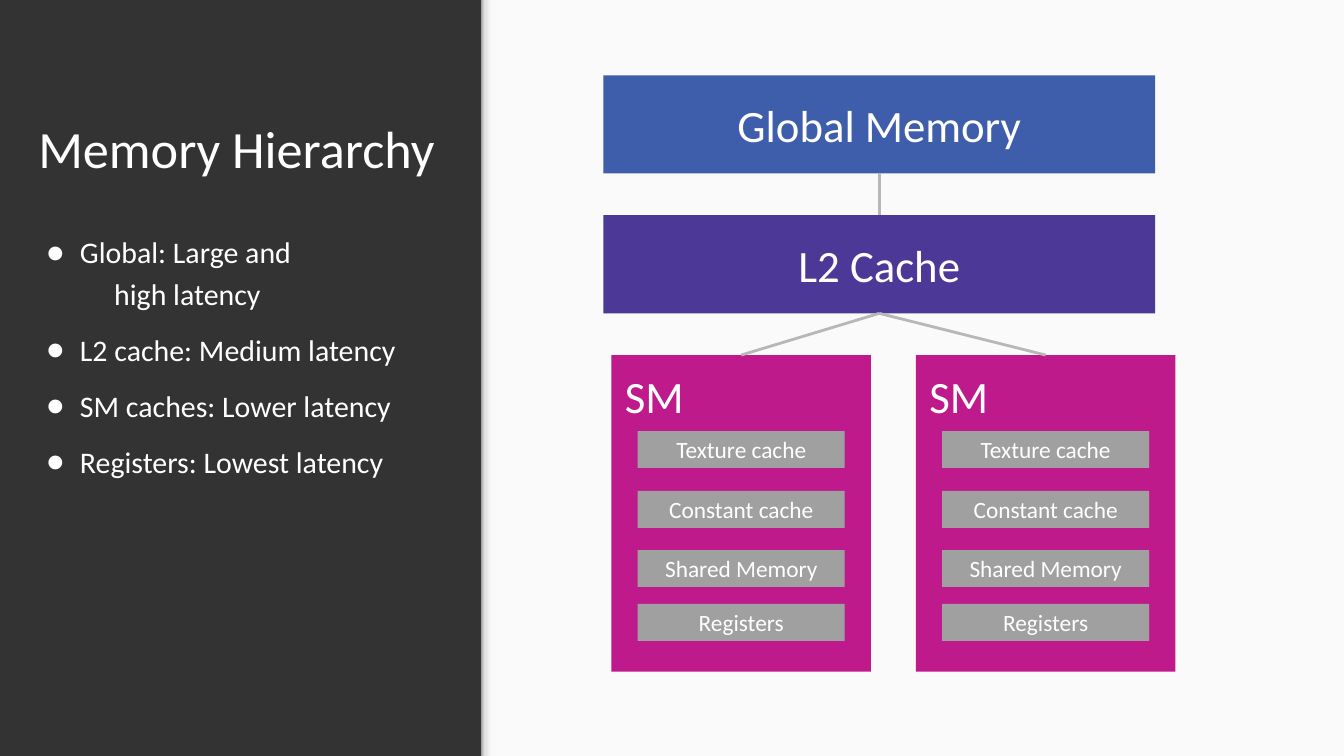
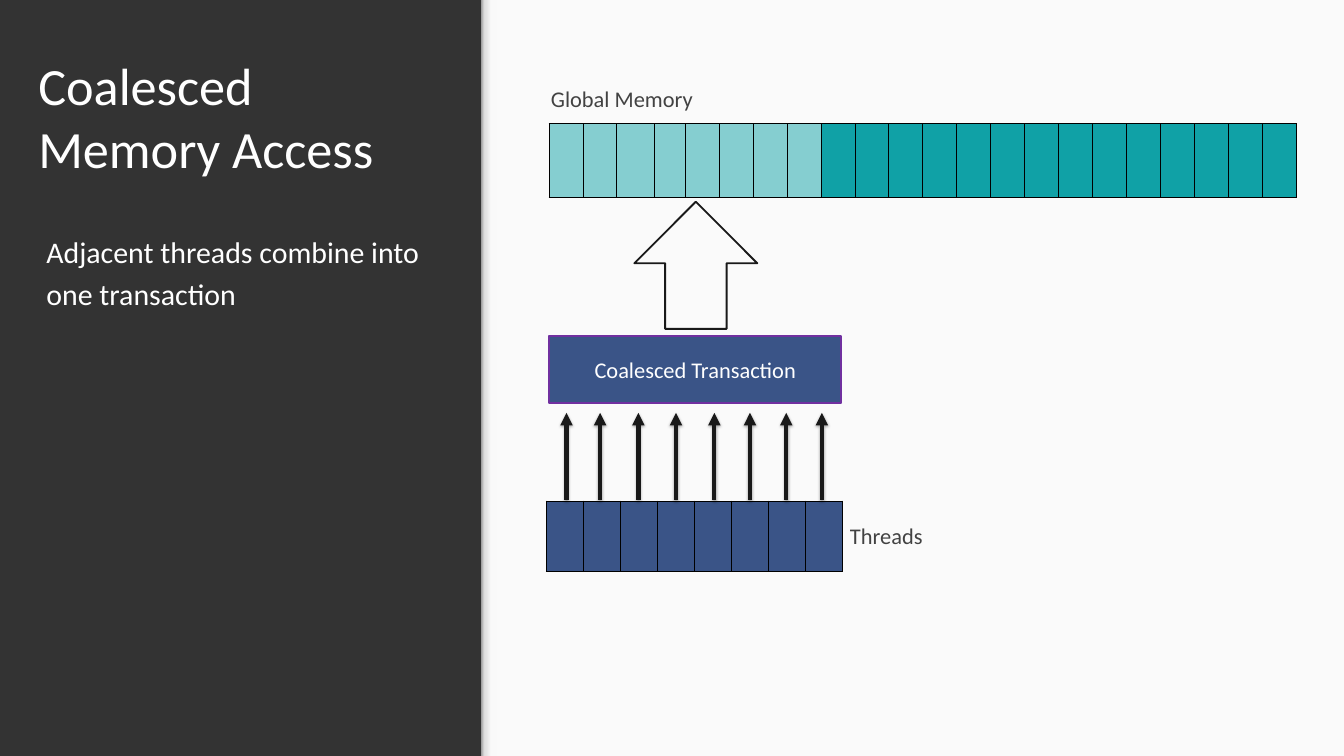
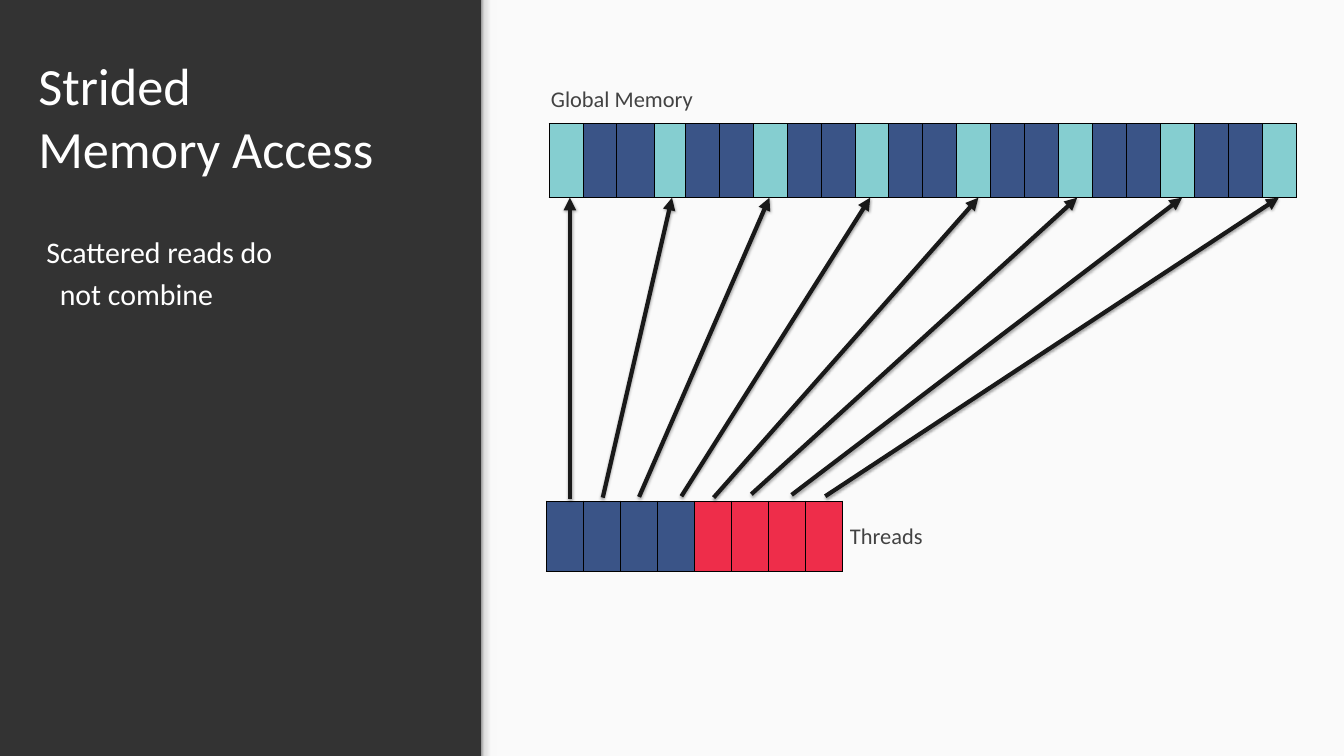
from dataclasses import dataclass
from typing import Optional

from lxml import etree
from pptx import Presentation
from pptx.dml.color import RGBColor
from pptx.enum.dml import MSO_LINE
from pptx.enum.shapes import MSO_CONNECTOR, MSO_SHAPE
from pptx.enum.text import MSO_ANCHOR as Anchor, PP_ALIGN as Align
from pptx.oxml import parse_xml
from pptx.oxml.ns import nsdecls, qn
from pptx.util import Inches, Pt

FONT = "Calibri"
CHARCOAL = RGBColor(0x33, 0x33, 0x33)
PAPER = RGBColor(0xFA, 0xFA, 0xFA)
WHITE = RGBColor(0xFF, 0xFF, 0xFF)
BLACK = RGBColor(0x00, 0x00, 0x00)
INK = RGBColor(0x19, 0x19, 0x19)
LABEL_GRAY = RGBColor(0x42, 0x42, 0x42)
LINK_GRAY = RGBColor(0xB7, 0xB7, 0xB7)
CACHE_GRAY = RGBColor(0xA0, 0xA0, 0xA0)
BLUE = RGBColor(0x3E, 0x5D, 0xAA)
INDIGO = RGBColor(0x4C, 0x38, 0x96)
MAGENTA = RGBColor(0xBE, 0x1A, 0x8C)
NAVY = RGBColor(0x3A, 0x54, 0x87)
PURPLE = RGBColor(0x70, 0x30, 0xA0)
TEAL = RGBColor(0x10, 0xA1, 0xA6)
LIGHT_TEAL = RGBColor(0x85, 0xCE, 0xD0)
RED = RGBColor(0xEE, 0x2D, 0x4A)

SLIDE_W, SLIDE_H = 20, Pt(809.5).inches
PANEL_X = 7.17
EDGE_STOPS = ((0, "999999"), (20, "DEDEDE"), (64, "F9F9F9"), (100, "F9F9F9"))
SM_LEFTS = (9.1, 13.63)
CACHES = (("Texture cache", 6.41), ("Constant cache", 7.3),
          ("Shared Memory", 8.18), ("Registers", 8.98))
MEMORY_CELLS, THREADS = 22, 8
MEMORY_W, THREADS_W = 11.12, 4.41
WIDE, NARROW = 0.56, 0.46
REGULAR = (MEMORY_W - WIDE - NARROW) / (MEMORY_CELLS - 2)
MEMORY_COLS = [REGULAR] * 2 + [WIDE, NARROW] + [REGULAR] * (MEMORY_CELLS - 4)
THREAD_COLS = [THREADS_W / THREADS] * THREADS
COALESCED_X = (8.43, 8.93, 9.5, 10.06, 10.63, 11.16, 11.7, 12.23)
STRIDED_STARTS = ((8.48, 7.42), (8.97, 7.4), (9.51, 7.39), (10.14, 7.38),
                  (10.62, 7.4), (11.18, 7.35), (11.78, 7.36), (12.28, 7.38))
STRIDED_TIPS = (8.48, 10, 11.45, 12.95, 14.56, 16.03, 17.59, 19.03)


@dataclass(frozen=True)
class Box:
    x: float
    y: float
    w: float
    h: float

    def emu(self) -> tuple:
        return tuple(Inches(v) for v in (self.x, self.y, self.w, self.h))


@dataclass(frozen=True)
class Line:
    """One line of sidebar text; a bullet hangs half an inch."""
    text: str
    indent: float = 0
    bullet: bool = False
    after: int = 16


def add_run(p, text: str, size: float, color: RGBColor) -> None:
    r = p.add_run()
    r.text = text
    r.font.name, r.font.size = FONT, Pt(size)
    r.font.color.rgb = color


def set_frame(tf, anchor: Anchor, inset: Optional[float] = None) -> None:
    tf.word_wrap = True
    tf.vertical_anchor = anchor
    if inset is not None:
        tf.margin_left = tf.margin_right = tf.margin_top = tf.margin_bottom = Inches(inset)


def add_block(s, box: Box, fill: Optional[RGBColor], text: str = "", size: float = 48,
              align: Align = Align.CENTER, anchor: Anchor = Anchor.MIDDLE,
              inset: Optional[float] = None, line: Optional[RGBColor] = None,
              kind: MSO_SHAPE = MSO_SHAPE.RECTANGLE):
    sp = s.shapes.add_shape(kind, *box.emu())
    sp.shadow.inherit = False
    if fill is None:
        sp.fill.background()
    else:
        sp.fill.solid()
        sp.fill.fore_color.rgb = fill
    if line is None:
        sp.line.fill.background()
    else:
        sp.line.color.rgb, sp.line.width = line, Pt(2)
    if text:
        set_frame(sp.text_frame, anchor, inset)
        p = sp.text_frame.paragraphs[0]
        p.alignment = align
        add_run(p, text, size, WHITE)
    return sp


def add_panel_edge(s) -> None:
    """Soft shadow where the light panel meets the sidebar."""
    sp = add_block(s, Box(7.16, 0, 0.24, SLIDE_H), PAPER)
    stops = "".join(f'<a:gs pos="{pos * 1000}"><a:srgbClr val="{color}"/></a:gs>'
                    for pos, color in EDGE_STOPS)
    solid = sp.element.spPr.find(qn("a:solidFill"))
    solid.getparent().replace(solid, parse_xml(
        f'<a:gradFill {nsdecls("a")}><a:gsLst>{stops}</a:gsLst><a:lin ang="0"/></a:gradFill>'))


def set_indent(p, line: Line) -> None:
    pPr = p._p.get_or_add_pPr()
    pPr.set("marL", str(Inches(line.indent)))
    pPr.set("indent", str(Inches(-0.5 if line.bullet else 0)))
    if line.bullet:
        color = etree.SubElement(pPr, qn("a:buClr"))
        etree.SubElement(color, qn("a:srgbClr"), val=str(WHITE))
        etree.SubElement(pPr, qn("a:buFont"), typeface=FONT)
        etree.SubElement(pPr, qn("a:buChar"), char="●")


def add_sidebar_slide(prs, title: tuple, lines: tuple, body_h: float):
    s = prs.slides.add_slide(prs.slide_layouts[6])
    add_block(s, Box(PANEL_X, 0, SLIDE_W - PANEL_X, SLIDE_H), PAPER)
    add_panel_edge(s)
    tf = s.shapes.add_textbox(*Box(0.37, 0.78, 6.39, 2.08).emu()).text_frame
    set_frame(tf, Anchor.BOTTOM, 0.2)
    p = tf.paragraphs[0]
    for i, text in enumerate(title):
        if i:
            p.add_line_break()
        add_run(p, text, 56, WHITE)
    tf = s.shapes.add_textbox(*Box(0.49, 3.2, 6.14, body_h).emu()).text_frame
    set_frame(tf, Anchor.TOP, 0.2)
    for i, line in enumerate(lines):
        p = tf.add_paragraph() if i else tf.paragraphs[0]
        set_indent(p, line)
        p.line_spacing, p.space_after = 1.15, Pt(line.after)
        add_run(p, line.text, 32, WHITE)
    return s


def add_line(s, start: tuple, end: tuple, color: RGBColor, width: float):
    c = s.shapes.add_connector(MSO_CONNECTOR.STRAIGHT, *(Inches(v) for v in start + end))
    c.line.color.rgb, c.line.width = color, Pt(width)
    c.line.dash_style = MSO_LINE.SOLID
    effects = etree.SubElement(c.element.spPr, qn("a:effectLst"))
    return c, effects


def add_link(s, upper, lower) -> None:
    """Joins the bottom of one block to the top of another."""
    c, _ = add_line(s, (0, 0), (1, 1), LINK_GRAY, 3)
    c.begin_connect(upper, 2)
    c.end_connect(lower, 0)


def add_access_arrow(s, start: tuple, end: tuple) -> None:
    c, effects = add_line(s, start, end, INK, 4.5)
    ln = c.element.spPr.find(qn("a:ln"))
    etree.SubElement(ln, qn("a:tailEnd"), type="triangle")
    effects.append(parse_xml(
        f'<a:outerShdw {nsdecls("a")} blurRad="{Pt(3.1)}" dist="{Pt(1.8)}" dir="5400000" '
        'rotWithShape="0"><a:srgbClr val="000000"><a:alpha val="35000"/></a:srgbClr></a:outerShdw>'))


def add_cells(s, box: Box, widths: list, fills: list) -> None:
    table = s.shapes.add_table(1, len(widths), *box.emu()).table
    table.first_row = table.horz_banding = False
    for col, width, cell, fill in zip(table.columns, widths, table.rows[0].cells, fills):
        col.width = Inches(width)
        cell.margin_left = cell.margin_right = 0
        tcPr = cell._tc.get_or_add_tcPr()
        for side in ("lnL", "lnR", "lnT", "lnB"):
            ln = etree.SubElement(tcPr, qn(f"a:{side}"), w=str(Pt(1)))
            solid = etree.SubElement(ln, qn("a:solidFill"))
            etree.SubElement(solid, qn("a:srgbClr"), val=str(BLACK))
        cell.fill.solid()
        cell.fill.fore_color.rgb = fill


def add_label(s, box: Box, text: str) -> None:
    tf = s.shapes.add_textbox(*box.emu()).text_frame
    set_frame(tf, Anchor.TOP)
    add_run(tf.paragraphs[0], text, 24, LABEL_GRAY)


def add_memory_and_threads(s, memory_fills: list, thread_fills: list) -> None:
    add_cells(s, Box(8.17, 1.84, MEMORY_W, 1.1), MEMORY_COLS, memory_fills)
    add_cells(s, Box(8.13, 7.45, THREADS_W, 1.05), THREAD_COLS, thread_fills)
    add_label(s, Box(8.1, 1.22, 3, 0.5), "Global Memory")
    add_label(s, Box(12.55, 7.72, 1.35, 0.5), "Threads")


def build_hierarchy(prs) -> None:
    s = add_sidebar_slide(prs, ("Memory Hierarchy",), (
        Line("Global: Large and", 0.5, True, after=0),
        Line("high latency", 1.01),
        Line("L2 cache: Medium latency", 0.5, True),
        Line("SM caches: Lower latency", 0.5, True),
        Line("Registers: Lowest latency", 0.5, True)), 4.81)
    memory = add_block(s, Box(8.98, 1.12, 8.21, 1.46), BLUE, "Global Memory", inset=0.2)
    l2 = add_block(s, Box(8.98, 3.2, 8.21, 1.46), INDIGO, "L2 Cache", inset=0.2)
    add_link(s, memory, l2)
    for left in SM_LEFTS:
        sm = add_block(s, Box(left, 5.28, 3.86, 4.71), MAGENTA, "SM",
                       align=Align.LEFT, anchor=Anchor.TOP, inset=0.2)
        add_link(s, l2, sm)
        for name, top in CACHES:
            add_block(s, Box(left + 0.39, top, 3.08, 0.55), CACHE_GRAY, name, size=25)


def build_coalesced(prs) -> None:
    s = add_sidebar_slide(prs, ("Coalesced Memory Access",),
                          (Line("Adjacent threads combine into one transaction"),), 1.81)
    add_memory_and_threads(
        s, [LIGHT_TEAL] * THREADS + [TEAL] * (MEMORY_CELLS - THREADS), [NAVY] * THREADS)
    add_block(s, Box(8.17, 5, 4.35, 1), NAVY, "Coalesced Transaction", size=24, line=PURPLE)
    add_block(s, Box(9.44, 3, 1.83, 1.89), None, line=INK, kind=MSO_SHAPE.UP_ARROW)
    for x in COALESCED_X:
        add_access_arrow(s, (x, 7.43), (x, 6.14))


def build_strided(prs) -> None:
    s = add_sidebar_slide(prs, ("Strided", "Memory Access"),
                          (Line("Scattered reads do", after=0), Line("not combine", 0.2)), 1.81)
    add_memory_and_threads(
        s, [NAVY if i % 3 else LIGHT_TEAL for i in range(MEMORY_CELLS)],
        [NAVY] * 4 + [RED] * 4)
    for start, tip_x in zip(STRIDED_STARTS, STRIDED_TIPS):
        add_access_arrow(s, start, (tip_x, 2.94))


def main() -> None:
    prs = Presentation()
    prs.slide_width, prs.slide_height = Inches(SLIDE_W), Inches(SLIDE_H)
    background = prs.slide_master.background.fill
    background.solid()
    background.fore_color.rgb = CHARCOAL
    build_hierarchy(prs)
    build_coalesced(prs)
    build_strided(prs)
    prs.save("out.pptx")


if __name__ == "__main__":
    main()
